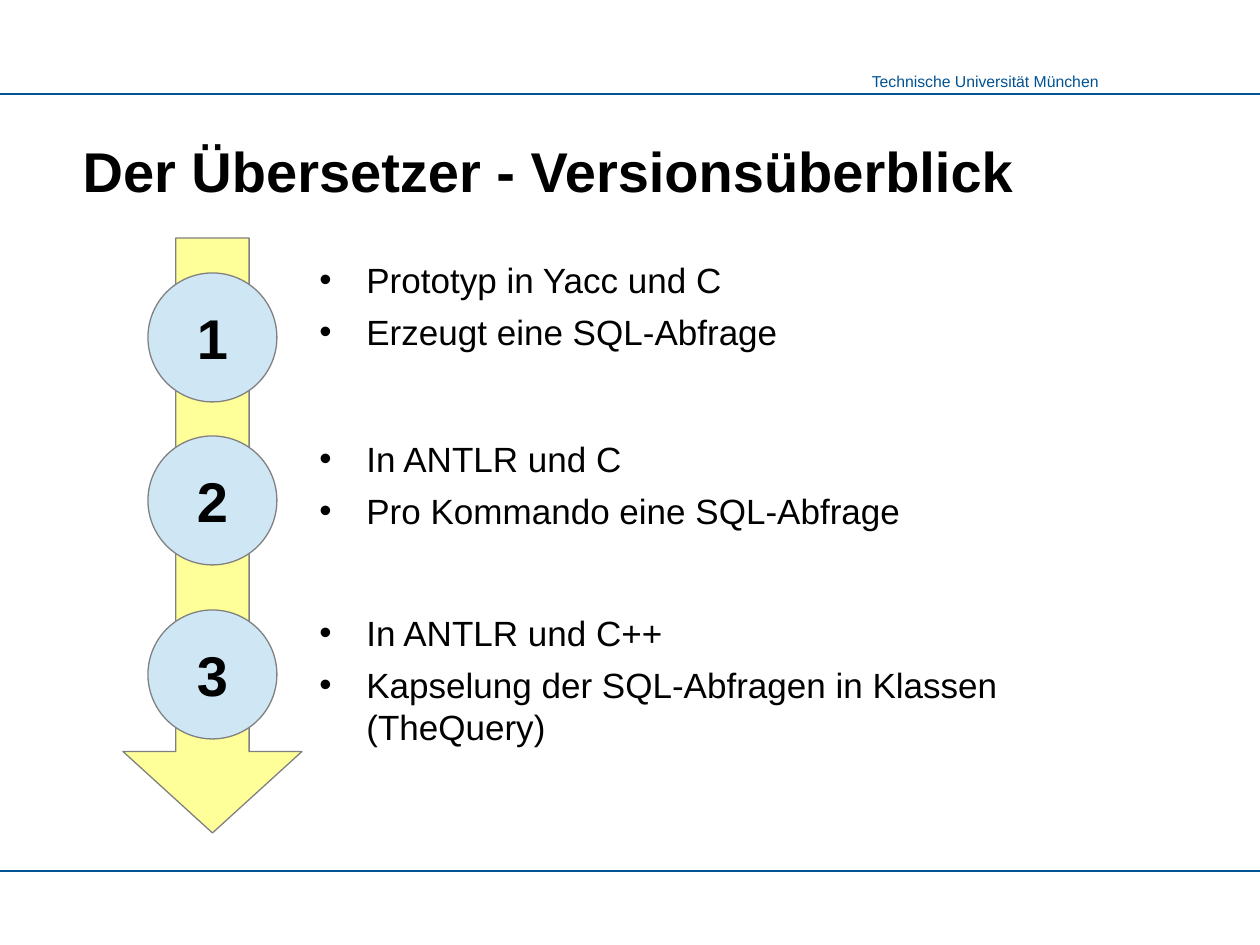
from lxml import etree
from pptx import Presentation
from pptx.dml.color import RGBColor
from pptx.enum.shapes import MSO_CONNECTOR, MSO_SHAPE
from pptx.enum.text import MSO_ANCHOR, PP_ALIGN
from pptx.oxml.ns import qn
from pptx.util import Emu, Pt

STRAIGHT = MSO_CONNECTOR.STRAIGHT
DOWN_ARROW, OVAL = MSO_SHAPE.DOWN_ARROW, MSO_SHAPE.OVAL
MIDDLE, BOTTOM = MSO_ANCHOR.MIDDLE, MSO_ANCHOR.BOTTOM
LEFT, CENTER, RIGHT = PP_ALIGN.LEFT, PP_ALIGN.CENTER, PP_ALIGN.RIGHT

PX_PER_INCH = 126
PAGE_WIDTH, PAGE_HEIGHT = 1260, 945
FONT = "Arial"
COLORS = {
    "text": "000000",
    "brand": "005293",
    "arrow": "FFFF99",
    "circle": "CFE7F5",
    "outline": "808080",
}
STAGES = [
    (273, 252, ["Prototyp in Yacc und C", "Erzeugt eine SQL-Abfrage"]),
    (436, 431, ["In ANTLR und C", "Pro Kommando eine SQL-Abfrage"]),
    (610, 605, ["In ANTLR und C++",
                "Kapselung der SQL-Abfragen in Klassen (TheQuery)"]),
]


def px(length):
    """Turn pixels into EMU."""
    return Emu(round(length * 914400 / PX_PER_INCH))


def color(name):
    """Look up a named colour."""
    return RGBColor.from_string(COLORS[name])


def format_text(frame, size, name="text", bold=False, align=LEFT):
    """Format every run of a text frame alike."""
    for para in frame.paragraphs:
        para.alignment = align
        for span in para.runs:
            span.font.name = FONT
            span.font.size = Pt(size)
            span.font.bold = bold
            span.font.color.rgb = color(name)


def add_rule(page, top):
    """Draw a thin line across the whole page."""
    rule = page.shapes.add_connector(STRAIGHT, 0, px(top), px(PAGE_WIDTH), px(top))
    rule.line.color.rgb = color("brand")
    rule.line.width = Pt(0.75)
    etree.SubElement(rule._element.spPr, qn("a:effectLst"))


def add_frame(page, left, top, width, height):
    """Add the institution name and the upper and lower rules."""
    box = page.shapes.add_textbox(px(left), px(top), px(width), px(height))
    box.text_frame.word_wrap = False
    box.text_frame.text = "Technische Universität München"
    format_text(box.text_frame, 9, "brand", align=RIGHT)
    for rule_top in (94, 871):
        add_rule(page, rule_top)


def add_title(page, left, top, width, height):
    """Place and format the title placeholder."""
    title = page.shapes.title
    title.left, title.top = px(left), px(top)
    title.width, title.height = px(width), px(height)
    title.text_frame.text = "Der Übersetzer - Versionsüberblick"
    title.text_frame.vertical_anchor = BOTTOM
    format_text(title.text_frame, 32, bold=True)


def add_filled_shape(page, kind, left, top, width, height, fill):
    """Add a filled preset shape with a hairline outline."""
    shape = page.shapes.add_shape(kind, px(left), px(top), px(width), px(height))
    shape.shadow.inherit = False
    shape.fill.solid()
    shape.fill.fore_color.rgb = color(fill)
    shape.line.color.rgb = color("outline")
    shape.line.width = Pt(0)
    return shape


def add_bullets(page, left, top, width, height, lines):
    """Add a bulleted list with a hanging indent."""
    box = page.shapes.add_textbox(px(left), px(top), px(width), px(height))
    frame = box.text_frame
    frame.word_wrap = True
    frame.text = "\n".join(lines)
    format_text(frame, 20)
    for para in frame.paragraphs:
        para.space_before = Pt(6)
        properties = para._p.get_or_add_pPr()
        properties.set("marL", str(px(47)))
        properties.set("indent", str(-px(47)))
        etree.SubElement(properties, qn("a:buFont"), typeface=FONT)
        etree.SubElement(properties, qn("a:buChar"), char="•")


def add_timeline(page, left, top, width, height):
    """Add the arrow with its numbered stages and their bullet lists."""
    arrow = add_filled_shape(page, DOWN_ARROW, left, top, width, height, "arrow")
    arrow.adjustments[0] = 0.41
    arrow.adjustments[1] = 0.455
    diameter = 129
    circle_left = left + (width - diameter) / 2
    for number, (circle_top, list_top, lines) in enumerate(STAGES, start=1):
        circle = add_filled_shape(
            page, OVAL, circle_left, circle_top, diameter, diameter, "circle")
        frame = circle.text_frame
        frame.word_wrap = False
        frame.vertical_anchor = MIDDLE
        frame.text = str(number)
        format_text(frame, 32, bold=True, align=CENTER)
        add_bullets(page, left + width + 5, list_top, 883, 175, lines)


def main():
    """Build and save the deck."""
    deck = Presentation()
    deck.slide_width, deck.slide_height = px(PAGE_WIDTH), px(PAGE_HEIGHT)
    page = deck.slides.add_slide(deck.slide_layouts[5])
    add_frame(page, 858, 66, 253, 32)
    add_title(page, 70, 63, 1120, 147)
    add_timeline(page, 123, 238, 179, 595)
    deck.save("out.pptx")


if __name__ == "__main__":
    main()
